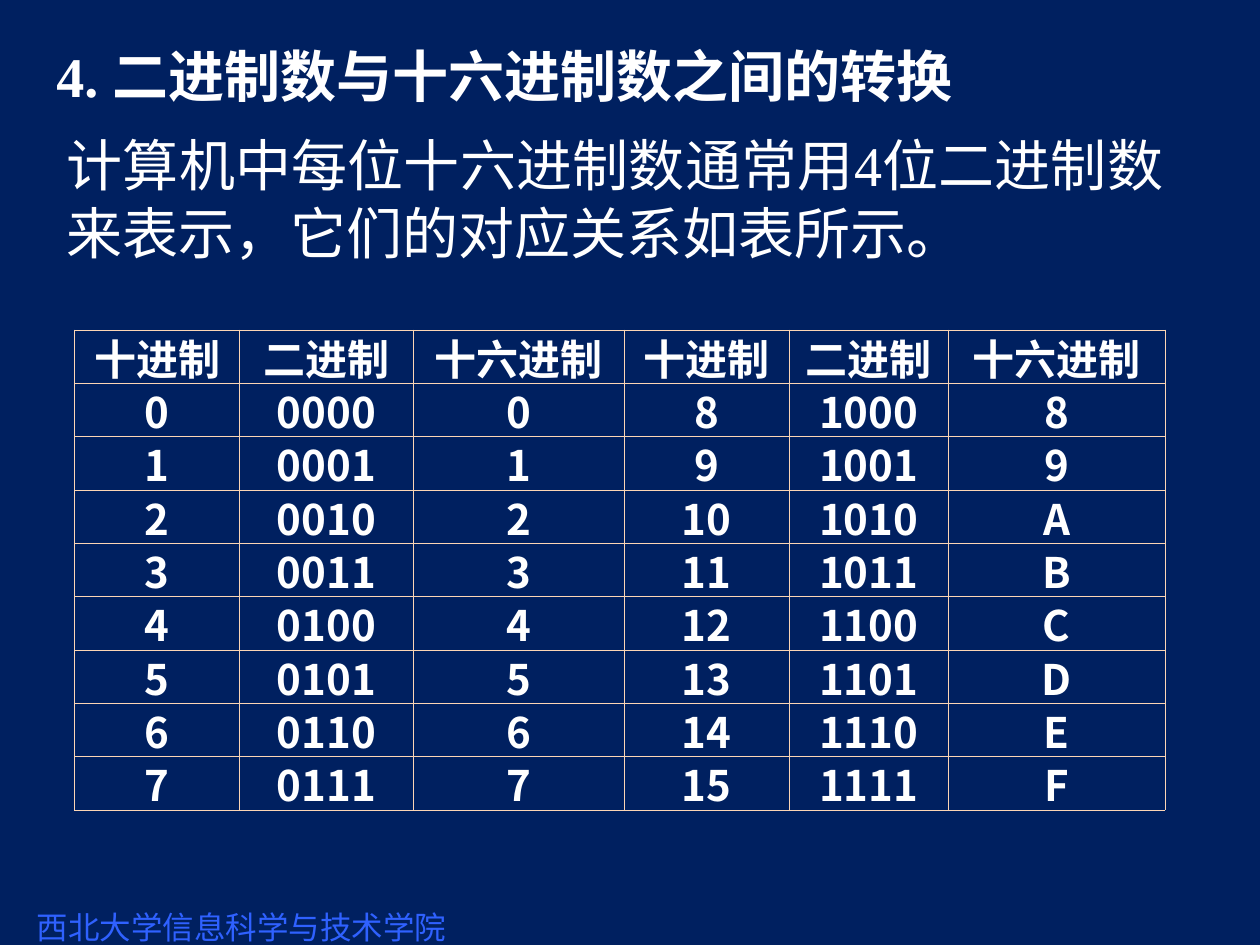
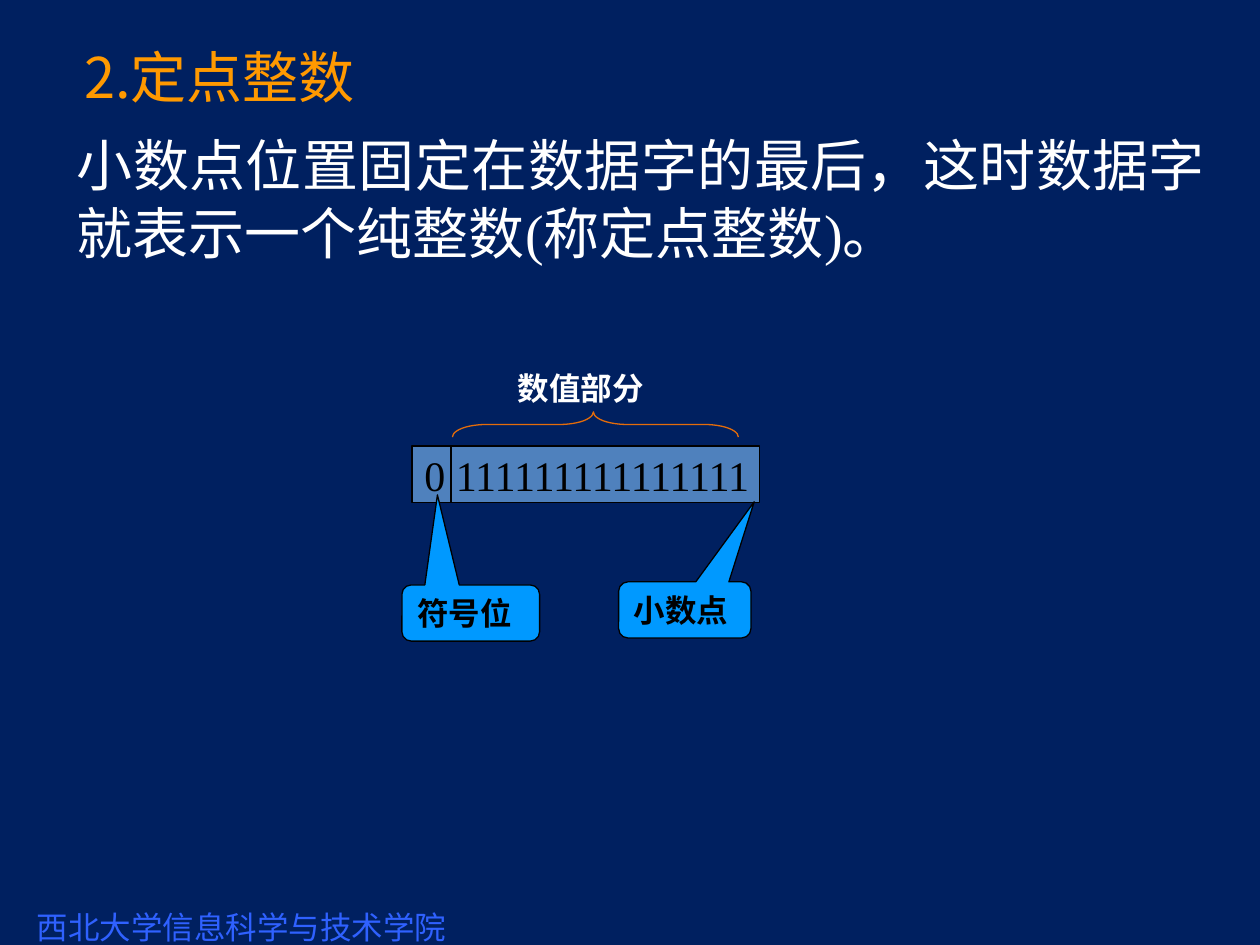
from lxml import etree
from pptx import Presentation
from pptx.dml.color import RGBColor
from pptx.enum import shapes, text
from pptx.oxml import ns
from pptx.util import Pt

# Content
FOOTER = "西北大学信息科学与技术学院"
HEX_TITLE = "4. 二进制数与十六进制数之间的转换"
HEX_BODY = "计算机中每位十六进制数通常用4位二进制数来表示，它们的对应关系如表所示。"
HEADS = ["十进制", "二进制", "十六进制"]
ROWS = [HEADS * 2] + [
    [t for n in (low, low + 8) for t in (str(n), f"{n:04b}", f"{n:X}")]
    for low in range(8)
]
FIXED_TITLE = "2.定点整数"
FIXED_BODY = "小数点位置固定在数据字的最后，这时数据字就表示一个纯整数(称定点整数)。"
WORD = "0 111111111111111"
VALUE_LABEL = "数值部分"
# text, box, pointer tip as a share of the box
CALLOUTS = [
    ("符号位", (229.7, 334.3, 78.7, 32.1), (-0.242, -2.105)),
    ("小数点", (353.5, 332.5, 75.6, 32.1), (0.525, -1.926)),
]

# Shared style
COLORS = {
    "back": "002060", "text": "FFFFFF", "footer": "2F61FF", "accent": "FF9900",
    "grid": "FCD5B5", "word": "4F81BD", "callout": "0099FF", "ink": "000000",
    "brace": "E46C0A",
}
CJK, SERIF, SANS = "Noto Sans CJK SC", "Times New Roman", "Arial"
COL_WIDTHS = [94.5, 99.2, 120.4, 94.5, 90.7, 124]
ROW_HEIGHT = 30.48
LINE = 0.75


def rgb(name):
    return RGBColor.from_string(COLORS[name])


def pts(*values):
    return [Pt(v) for v in values]


def write(tf, words, size=18, font=CJK, color="text", bold=False, align="LEFT",
          anchor="TOP", before=0, spacing=None, inset=(7.2, 3.6), wrap=True):
    tf.word_wrap = wrap
    tf.vertical_anchor = text.MSO_ANCHOR[anchor]
    tf.margin_left = tf.margin_right = Pt(inset[0])
    tf.margin_top = tf.margin_bottom = Pt(inset[1])
    p = tf.paragraphs[0]
    p.alignment = text.PP_ALIGN[align]
    p.space_before = Pt(before)
    if spacing:
        p.line_spacing = spacing
    r = p.add_run()
    r.text = words
    r.font.size, r.font.bold, r.font.name = Pt(size), bold, font
    r.font.color.rgb = rgb(color)
    ea = etree.SubElement(r.font._element, ns.qn("a:ea"))
    ea.set("typeface", CJK)


def add_text(s, words, box, **fmt):
    write(s.shapes.add_textbox(*pts(*box)).text_frame, words, **fmt)


def add_shape(s, kind, box, line, fill=None):
    sp = s.shapes.add_shape(shapes.MSO_SHAPE[kind], *pts(*box))
    sp.shadow.inherit = False
    sp.line.color.rgb, sp.line.width = rgb(line), Pt(LINE)
    if fill:
        sp.fill.solid()
        sp.fill.fore_color.rgb = rgb(fill)
    else:
        sp.fill.background()
    return sp


def add_slide(prs, title, title_at, body, body_left, body_width, **title_fmt):
    s = prs.slides.add_slide(prs.slide_layouts[6])
    s.background.fill.solid()
    s.background.fill.fore_color.rgb = rgb("back")
    add_text(s, FOOTER, (20.9, 519.1, 262.8, 21.6), color="footer", inset=(0, 0))
    add_text(s, title, (*title_at, 648, 55.4), size=32, anchor="MIDDLE", **title_fmt)
    add_text(s, body, (body_left, 71.3, body_width, 84.2), size=32, font=SERIF,
             align="JUSTIFY", before=20)
    return s


def draw_borders(cell):
    pr = cell._tc.get_or_add_tcPr()
    for i, side in enumerate(("lnL", "lnR", "lnT", "lnB")):
        ln = etree.Element(ns.qn("a:" + side), w=str(Pt(0.45)))
        fill = etree.SubElement(ln, ns.qn("a:solidFill"))
        etree.SubElement(fill, ns.qn("a:srgbClr"), val=COLORS["grid"])
        pr.insert(i, ln)


def add_number_table(s):
    frame = s.shapes.add_table(len(ROWS), len(COL_WIDTHS), *pts(
        42.5, 188.6, sum(COL_WIDTHS), ROW_HEIGHT * len(ROWS)))
    table = frame.table
    table.first_row = table.horz_banding = False
    for col, width in zip(table.columns, COL_WIDTHS):
        col.width = Pt(width)
    for i, row in enumerate(ROWS):
        table.rows[i].height = Pt(ROW_HEIGHT)
        for j, words in enumerate(row):
            cell = table.cell(i, j)
            write(cell.text_frame, words, size=24, bold=True, align="CENTER",
                  spacing=0.8)
            cell.vertical_anchor = text.MSO_ANCHOR.MIDDLE if i else text.MSO_ANCHOR.TOP
            cell.margin_left = cell.margin_right = Pt(7.2)
            cell.margin_top = cell.margin_bottom = Pt(3.6)
            cell.fill.background()
            draw_borders(cell)


def add_word_diagram(s):
    # Data word, split after the sign bit
    left, top, width, height = 235.4, 254.9, 198.7, 32.4
    split = left + 22.4
    word = add_shape(s, "RECTANGLE", (left, top, width, height), "ink", "word")
    write(word.text_frame, WORD, size=24, font=SERIF, color="ink",
          anchor="MIDDLE", wrap=False)
    cut = s.shapes.add_connector(shapes.MSO_CONNECTOR.STRAIGHT,
                                 *pts(split, top, split, top + height))
    cut.line.color.rgb, cut.line.width = rgb("ink"), Pt(LINE)
    etree.SubElement(cut._element.spPr, ns.qn("a:effectLst"))

    # Callouts
    for words, box, tip in CALLOUTS:
        sp = add_shape(s, "ROUNDED_RECTANGULAR_CALLOUT", box, "ink", "callout")
        sp.adjustments[0], sp.adjustments[1] = tip
        write(sp.text_frame, words, font=SANS, color="ink", bold=True)

    # Brace over the value bits, turned to point up
    brace = add_shape(s, "LEFT_BRACE", (333, 160.9, 14.4, 163.4), "brace")
    brace.rotation = 90
    brace.adjustments[0], brace.adjustments[1] = 1.35, 0.507
    add_text(s, VALUE_LABEL, (288.7, 207.4, 105.1, 28.8), font=SANS, bold=True,
             before=11.2)


def main():
    prs = Presentation()
    prs.slide_width, prs.slide_height = pts(720, 540)
    s = add_slide(prs, HEX_TITLE, (25.2, 15.1), HEX_BODY, 31, 640.8,
                  font=SERIF, bold=True)
    add_number_table(s)
    s = add_slide(prs, FIXED_TITLE, (41, 15.8), FIXED_BODY, 36.7, 659.5,
                  color="accent")
    add_word_diagram(s)
    prs.save("out.pptx")


if __name__ == "__main__":
    main()
